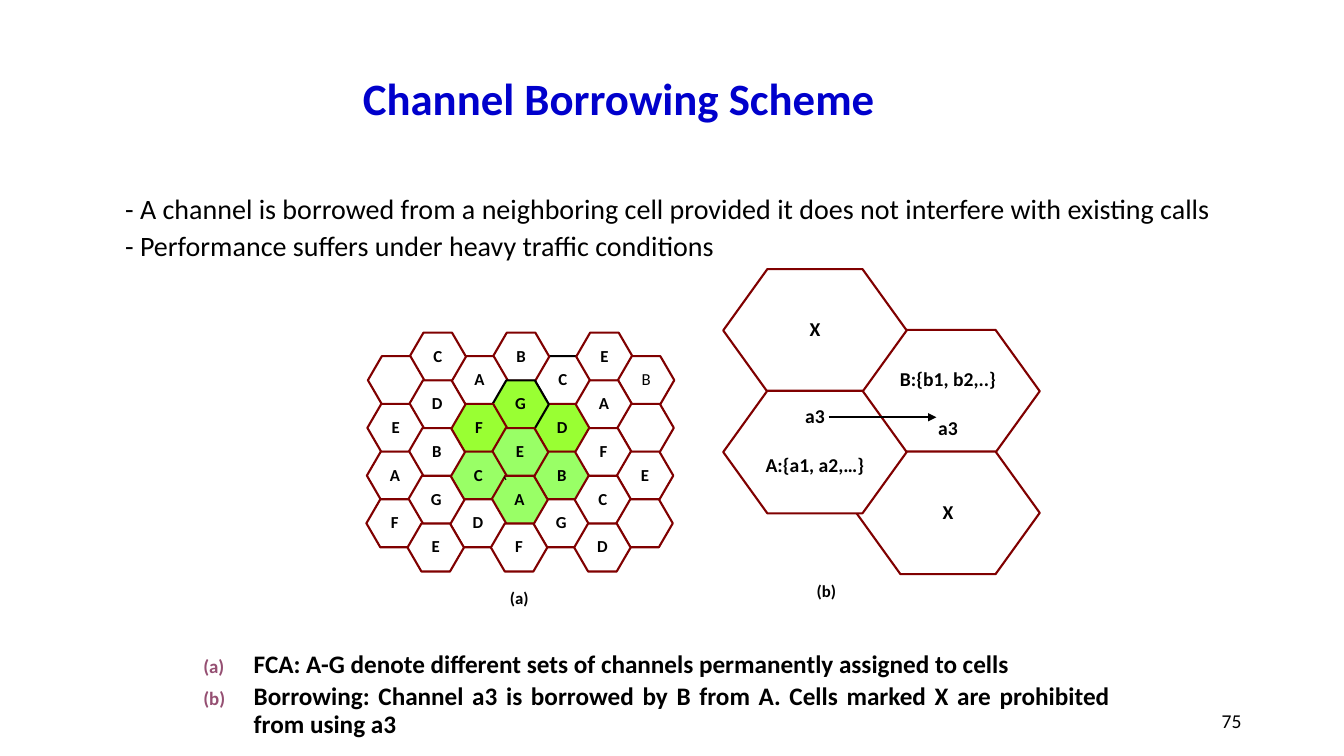
from lxml import etree
from pptx import Presentation
from pptx.dml.color import RGBColor
from pptx.enum.shapes import MSO_CONNECTOR, MSO_SHAPE
from pptx.enum.text import MSO_ANCHOR, MSO_AUTO_SIZE, PP_ALIGN
from pptx.oxml.ns import qn
from pptx.util import Inches, Pt

HEXAGON = MSO_SHAPE.HEXAGON
STRAIGHT = MSO_CONNECTOR.STRAIGHT
TOP, MIDDLE = MSO_ANCHOR.TOP, MSO_ANCHOR.MIDDLE
LEFT, CENTER, RIGHT, JUSTIFY = (PP_ALIGN.LEFT, PP_ALIGN.CENTER,
                                PP_ALIGN.RIGHT, PP_ALIGN.JUSTIFY)
NO_AUTOFIT = MSO_AUTO_SIZE.NONE

WIDTH, HEIGHT = Inches(13.33), Inches(7.5)
COLUMNS, ROWS = 160, 90

BLACK, WHITE, BLUE, MAROON, PLUM = "000000", "FFFFFF", "0000CC", "800000", "954F72"
LIME, LIGHT_GREEN = "99FF33", "99FF66"

# Labels of the small cells, one string per column, "-" for an unlabelled cell
CELL_COLUMNS = ["-EAF", "CDBGE", "AFCD", "BGEAF", "CDBG", "EAFCD", "B-E-"]
CELL_DRAWING_ORDER = (4, 5, 3, 2, 1, 0, 6)
CELL_FILLS = {(3, 1): LIME, (2, 1): LIME, (4, 1): LIME, (3, 2): LIGHT_GREEN,
              (3, 3): LIGHT_GREEN, (2, 2): LIGHT_GREEN, (4, 2): LIGHT_GREEN}
BLACK_OUTLINES = {(4, 0), (3, 1)}

# Column, half-row, texts, extra top and bottom insets in grid rows
BORROWING_CELLS = [
    (1, 1, ["B:{b1, b2,..}", "a3"], 3.2, 0),
    (0, 0, ["X"], 0, 0),
    (1, 3, ["X"], 0, 0),
    (0, 2, ["a3", "A:{a1, a2,…}"], 0, 2.5),
]


def color(hex_string):
    return RGBColor.from_string(hex_string)


class SlideBuilder:
    """Draws on one slide; all lengths are columns and rows of its grid."""

    font_name = "Calibri"

    def __init__(self, slide):
        self.slide = slide

    def x(self, columns):
        return int(WIDTH * columns / COLUMNS)

    def y(self, rows):
        return int(HEIGHT * rows / ROWS)

    def box(self, left, top, width, height):
        return self.x(left), self.y(top), self.x(width), self.y(height)

    def set_text(self, shape, texts, size, align=LEFT, anchor=TOP, bold=False,
                 hex_color=BLACK, spacing=0.9, gap=0, wrap=False, prepare=None):
        """Fill a shape with paragraphs; prepare adds bullets to each one."""
        frame = shape.text_frame
        frame.auto_size = NO_AUTOFIT
        frame.word_wrap = wrap
        frame.vertical_anchor = anchor
        for index, text in enumerate(texts):
            paragraph = frame.add_paragraph() if index else frame.paragraphs[0]
            paragraph.text = text
            if prepare:
                prepare(paragraph)
            paragraph.alignment = align
            paragraph.line_spacing = spacing
            paragraph.space_before = Pt(gap if index else 0)
            font = paragraph.font
            font.name, font.size, font.bold = self.font_name, Pt(size), bold
            font.color.rgb = color(hex_color)

    def placeholder(self, index, position, texts, size, **style):
        shape = self.slide.placeholders[index]
        shape.left, shape.top, shape.width, shape.height = self.box(*position)
        self.set_text(shape, texts, size, **style)
        return shape

    def label(self, position, text, size, **style):
        shape = self.slide.shapes.add_textbox(*self.box(*position))
        self.set_text(shape, [text], size, **style)

    def hexagon(self, position, adjustment, texts, size, fill=WHITE,
                outline=MAROON, **style):
        shape = self.slide.shapes.add_shape(HEXAGON, *self.box(*position))
        shape.adjustments[0] = adjustment
        shape.shadow.inherit = False
        shape.fill.solid()
        shape.fill.fore_color.rgb = color(fill)
        shape.line.color.rgb = color(outline)
        shape.line.width = Pt(1.5)
        if texts:
            self.set_text(shape, texts, size, align=CENTER, anchor=MIDDLE, **style)
        return shape

    def line(self, start, end, width, arrow=False):
        connector = self.slide.shapes.add_connector(
            STRAIGHT, self.x(start[0]), self.y(start[1]), self.x(end[0]), self.y(end[1]))
        connector.line.color.rgb = color(BLACK)
        connector.line.width = Pt(width)
        properties = connector._element.spPr
        if arrow:
            etree.SubElement(properties.find(qn("a:ln")), qn("a:tailEnd"), type="triangle")
        etree.SubElement(properties, qn("a:effectLst"))


def remove_bullet(paragraph):
    properties = paragraph._p.get_or_add_pPr()
    properties.set("marL", "0")
    properties.set("indent", "0")
    etree.SubElement(properties, qn("a:buNone"))


def number_with_letters(paragraph):
    properties = paragraph._p.get_or_add_pPr()
    properties.set("marL", str(Inches(0.5)))
    properties.set("indent", str(-Inches(0.5)))
    bullet_color = etree.SubElement(properties, qn("a:buClr"))
    etree.SubElement(bullet_color, qn("a:srgbClr"), val=PLUM)
    etree.SubElement(properties, qn("a:buSzPct"), val="75000")
    etree.SubElement(properties, qn("a:buAutoNum"), type="alphaLcParenBoth")


def draw_fixed_allocation(builder):
    for row in range(max(map(len, CELL_COLUMNS))):
        for column in CELL_DRAWING_ORDER:
            if row >= len(CELL_COLUMNS[column]):
                continue
            text = CELL_COLUMNS[column][row]
            left = 43.8 + 4.96 * column - 0.06 * row
            top = (39.6 if column % 2 else 42.4) + 5.68 * row
            builder.hexagon(
                (left, top, 6.72, 5.72), 0.29, [] if text == "-" else [text], 12,
                fill=CELL_FILLS.get((column, row), WHITE),
                outline=BLACK if (column, row) in BLACK_OUTLINES else MAROON,
                bold=(column, row) != (6, 0))
    builder.line((60.24, 57.12), (60, 56.76), 0.75)
    builder.label((59.3, 69.7, 5.04, 3.36), "(a)", 12, align=CENTER, bold=True)


def draw_borrowing(builder):
    for column, half_row, texts, extra_top, extra_bottom in BORROWING_CELLS:
        position = (86.1 + 15.84 * column, 32.04 + 7.24 * half_row, 21.84, 14.6)
        cell = builder.hexagon(position, 0.36, texts, 14, bold=True, gap=20)
        cell.text_frame.margin_top += builder.y(extra_top)
        cell.text_frame.margin_bottom += builder.y(extra_bottom)
    builder.line((98.64, 49.68), (111.48, 49.68), 1.5, arrow=True)
    builder.label((95.8, 68.8, 5.16, 3.36), "(b)", 12, align=CENTER, bold=True)


def main():
    presentation = Presentation()
    presentation.slide_width, presentation.slide_height = WIDTH, HEIGHT
    two_content_layout = presentation.slide_layouts[3]
    builder = SlideBuilder(presentation.slides.add_slide(two_content_layout))

    builder.placeholder(0, (42, 7.8, 72.7, 7.7), ["Channel Borrowing Scheme"], 32,
                        bold=True, hex_color=BLUE, spacing=1.0)
    points = builder.placeholder(
        1, (14.9, 22.4, 131.5, 16.3),
        ["- A channel is borrowed from a neighboring cell provided it does not "
         "interfere with existing calls",
         "- Performance suffers under heavy traffic conditions"],
        20, spacing=1.1, wrap=True, prepare=remove_bullet)
    frame = points.text_frame
    frame.margin_left = frame.margin_top = frame.margin_right = frame.margin_bottom = 0
    builder.placeholder(
        2, (23, 77, 110.4, 11.8),
        ["FCA: A-G denote different sets of channels permanently assigned to cells",
         "Borrowing: Channel a3 is borrowed by B from A. Cells marked X are "
         "prohibited from using a3"],
        18, align=JUSTIFY, bold=True, gap=3.6, wrap=True, prepare=number_with_letters)

    draw_fixed_allocation(builder)
    draw_borrowing(builder)
    builder.label((113, 83.4, 36, 4.8), "75", 14, align=RIGHT, anchor=MIDDLE,
                  spacing=1.0, wrap=True)
    presentation.save("out.pptx")


if __name__ == "__main__":
    main()
